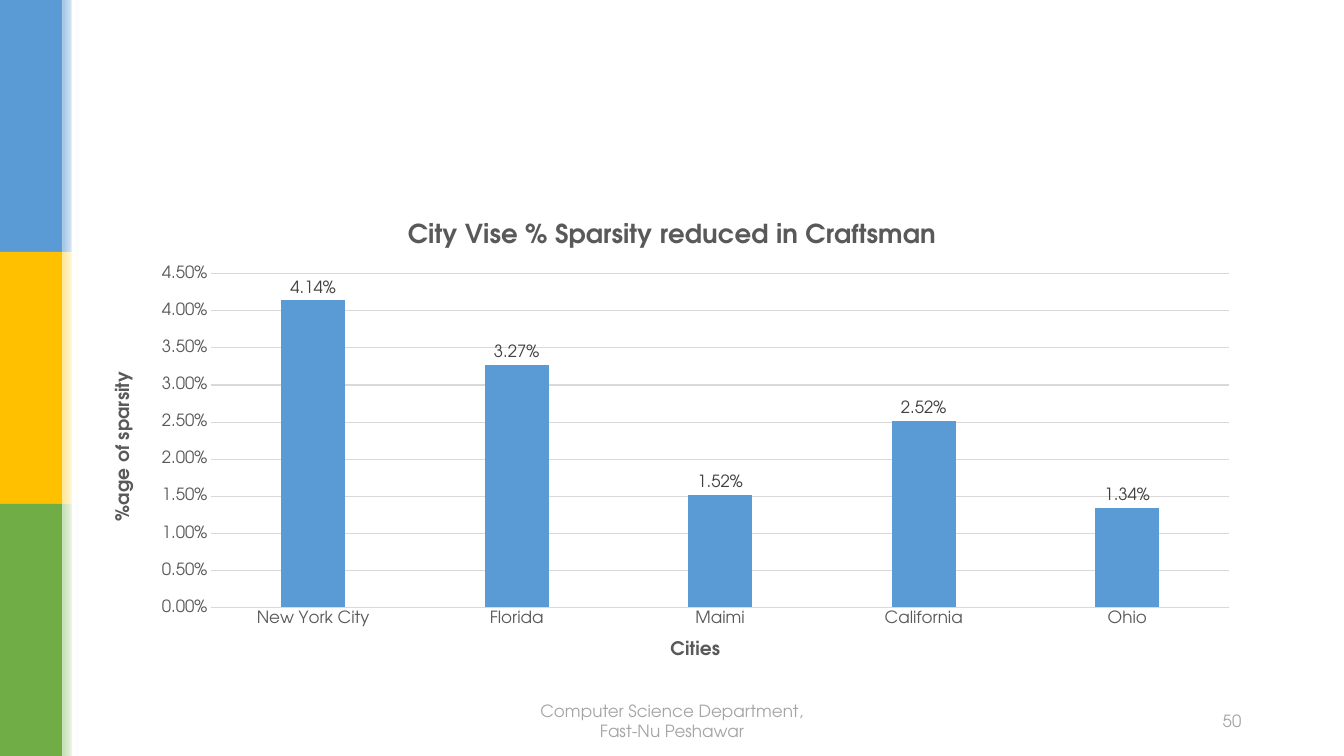
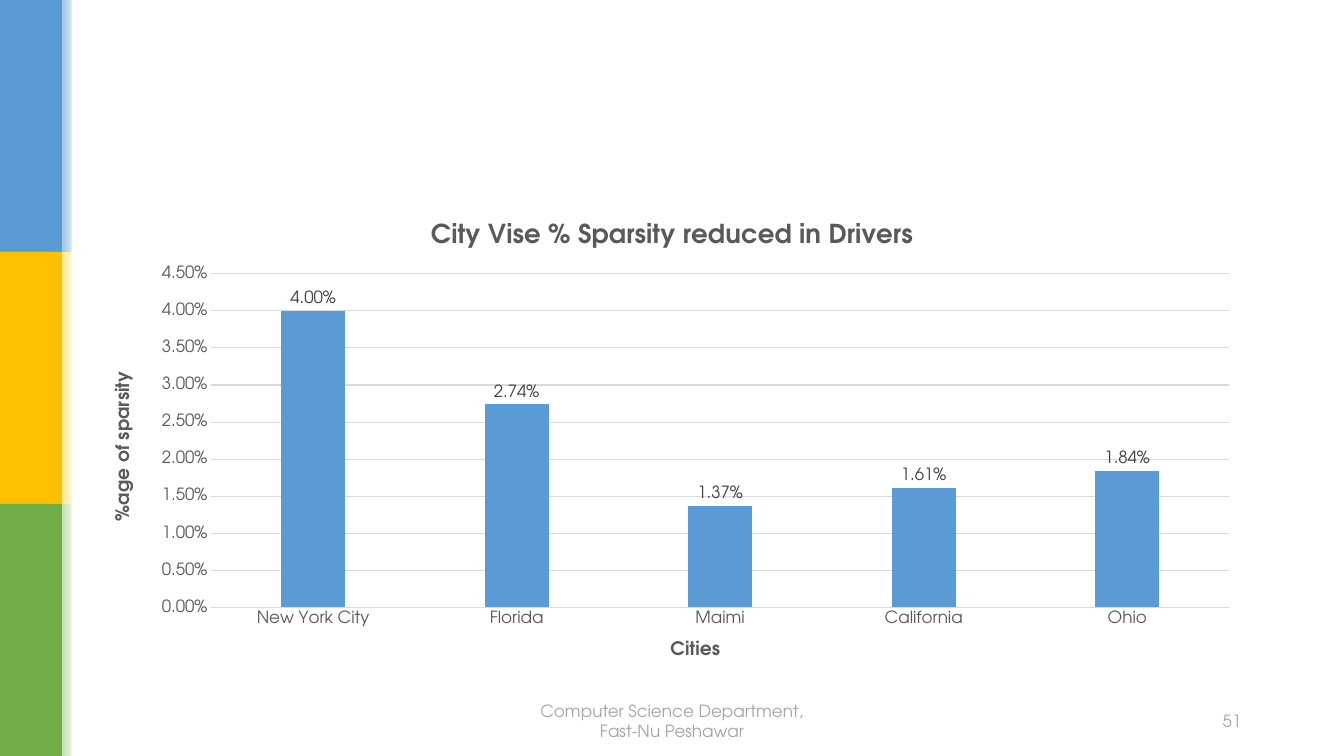
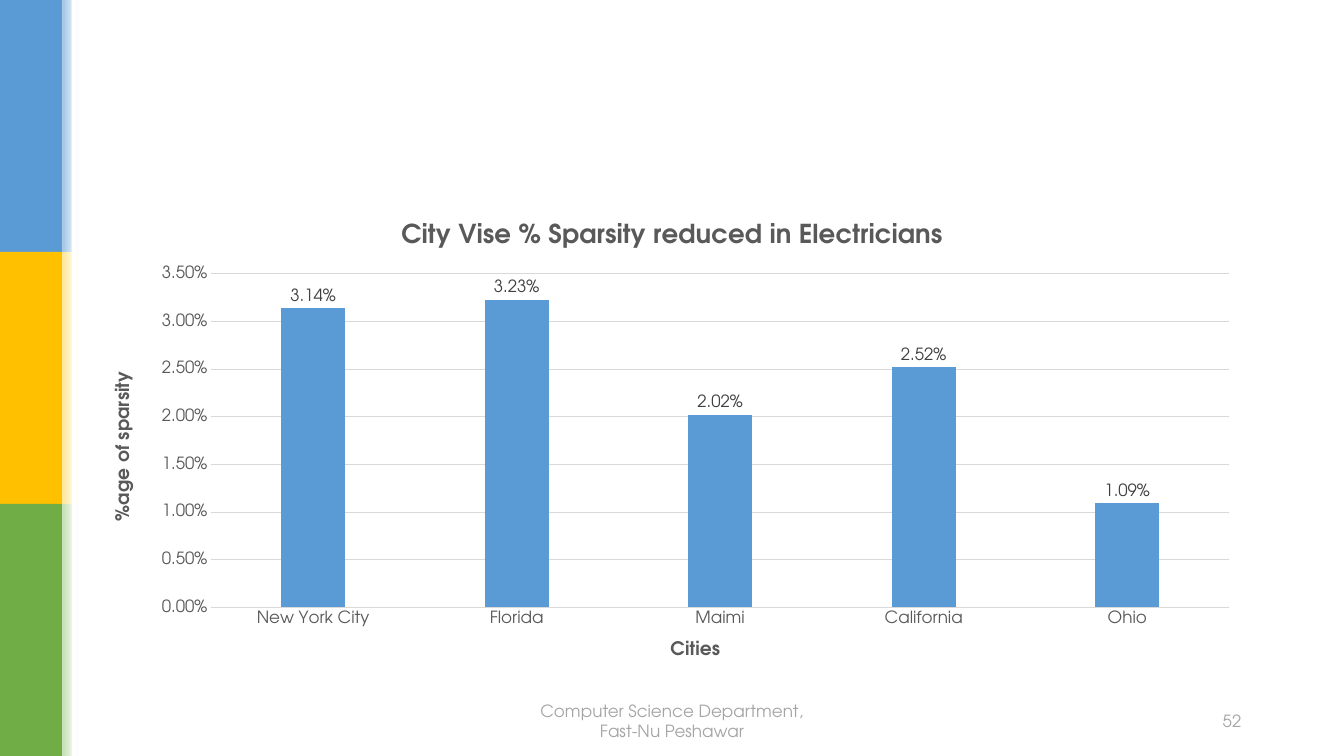
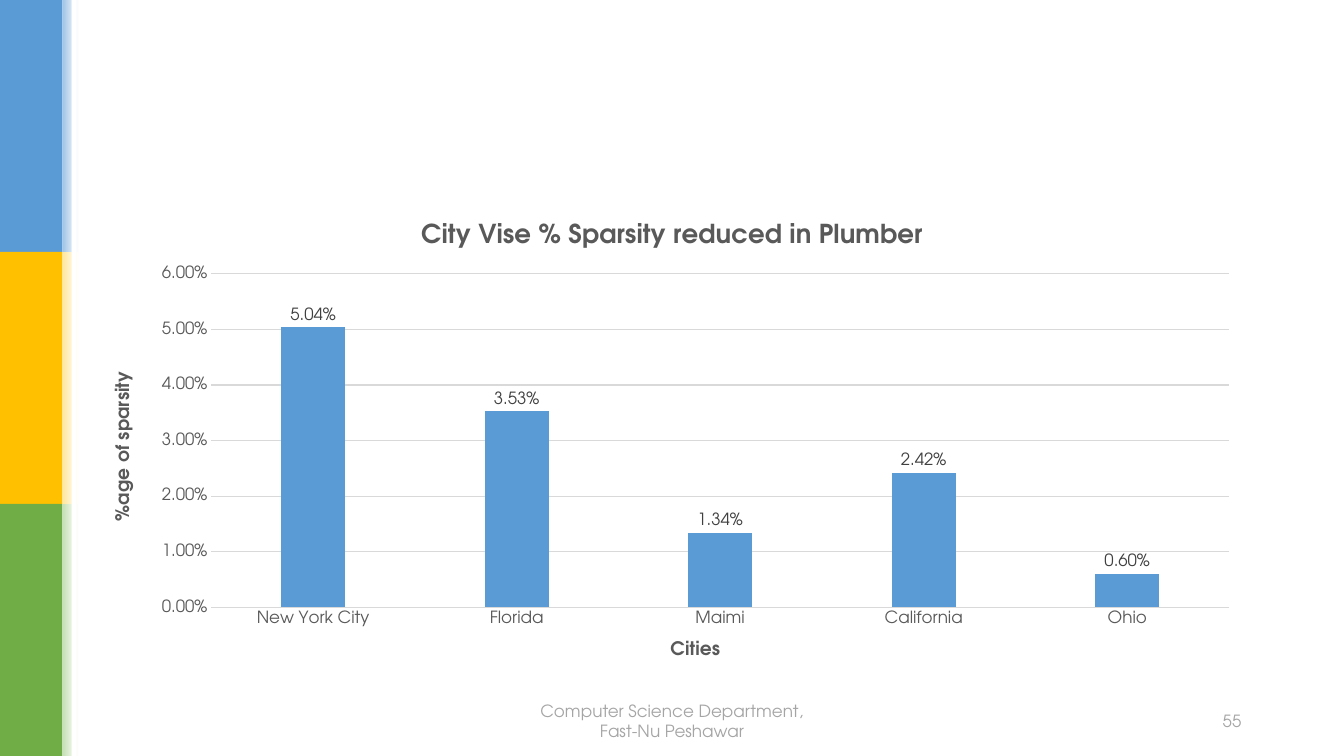
import pptx
import pptx.chart.data
import pptx.dml.color
import pptx.enum.chart
import pptx.enum.shapes
import pptx.enum.text
import pptx.util

Inches, Pt = pptx.util.Inches, pptx.util.Pt
ALIGN = pptx.enum.text.PP_ALIGN

# Content
CITIES = ["New York City", "Florida", "Maimi", "California", "Ohio"]
TRADES = [  # page number, trade, share of sparsity reduced per city
    (50, "Craftsman", [0.0414, 0.0327, 0.0152, 0.0252, 0.0134]),
    (51, "Drivers", [0.04, 0.0274, 0.0137, 0.0161, 0.0184]),
    (52, "Electricians", [0.0314, 0.0323, 0.0202, 0.0252, 0.0109]),
    (55, "Plumber", [0.0504, 0.0353, 0.0134, 0.0242, 0.006]),
]
CHART_TITLE = "City Vise % Sparsity reduced in {}"
CITY_TITLE, SPARSITY_TITLE = "Cities", "%age of sparsity"
DEPARTMENT = "Computer Science Department, Fast-Nu Peshawar"

# Shared style
FONT = "TeX Gyre Adventor"
WHITE, BAR, GRID = "FFFFFF", "5B9BD5", "D9D9D9"
CHART_TEXT, LABEL_TEXT, FOOTER_TEXT = "595959", "404040", "A5A5A5"
BANDS = [("5B9BD5", "9DC3E6"), ("FFC000", "FFE699"), ("70AD47", "C5E0B4")]
PERCENT = "0.00%"
SLIDE_W, SLIDE_H = 13.33, 7.5
BAND_W, FADE_W = 0.62, 0.16
FOOTER_TOP, FOOTER_H = 6.95, 0.4


def rgb(color):
    return pptx.dml.color.RGBColor.from_string(color)


def style(font, size, color, bold=False):
    font.name, font.size, font.bold = FONT, Pt(size), bold
    font.color.rgb = rgb(color)


def add_strip(slide, left, top, width, height, color, fade_to=None):
    strip = slide.shapes.add_shape(
        pptx.enum.shapes.MSO_SHAPE.RECTANGLE,
        Inches(left), Inches(top), Inches(width), Inches(height))
    strip.shadow.inherit = False
    strip.line.fill.background()
    if fade_to:
        strip.fill.gradient()
        strip.fill.gradient_angle = 0
        for stop, stop_color in zip(strip.fill.gradient_stops, (color, fade_to)):
            stop.color.rgb = rgb(stop_color)
    else:
        strip.fill.solid()
        strip.fill.fore_color.rgb = rgb(color)


def add_bands(slide):
    height = SLIDE_H / len(BANDS)
    for row, (color, tint) in enumerate(BANDS):
        add_strip(slide, 0, row * height, BAND_W, height, color)
        add_strip(slide, BAND_W, row * height, FADE_W, height, tint, WHITE)
    add_strip(slide, 0.71, 0, 0.05, SLIDE_H, WHITE)


def add_footer(slide, text, left, width, align):
    frame = slide.shapes.add_textbox(
        Inches(left), Inches(FOOTER_TOP), Inches(width), Inches(FOOTER_H)).text_frame
    frame.word_wrap = True
    frame.vertical_anchor = pptx.enum.text.MSO_ANCHOR.MIDDLE
    line = frame.paragraphs[0]
    line.text, line.alignment = text, align
    style(line.font, 12, FOOTER_TEXT)


def set_title(title, text, size):
    line = title.text_frame.paragraphs[0]
    line.text = text
    style(line.font, size, CHART_TEXT, bold=True)


def style_axis(axis, title):
    axis.major_tick_mark = axis.minor_tick_mark = pptx.enum.chart.XL_TICK_MARK.NONE
    style(axis.tick_labels.font, 12, CHART_TEXT)
    set_title(axis.axis_title, title, 13.3)


def draw_rule(line):
    line.width = Pt(0.75)
    line.color.rgb = rgb(GRID)


def add_sparsity_chart(slide, trade, shares):
    sparsity = pptx.chart.data.CategoryChartData(number_format=PERCENT)
    sparsity.categories = CITIES
    sparsity.add_series("Series 1", shares)
    chart = slide.shapes.add_chart(
        pptx.enum.chart.XL_CHART_TYPE.COLUMN_CLUSTERED,
        Inches(0.92), Inches(2), Inches(11.5), Inches(4.76), sparsity).chart
    style(chart.font, 10, "000000")
    chart.has_legend = False
    set_title(chart.chart_title, CHART_TITLE.format(trade), 18.6)
    chart.chart_title.include_in_layout = False

    # Axes
    cities, percent = chart.category_axis, chart.value_axis
    style_axis(cities, CITY_TITLE)
    draw_rule(cities.format.line)
    style_axis(percent, SPARSITY_TITLE)
    percent.axis_title.text_frame._txBody.bodyPr.set("rot", "-5400000")
    percent.format.line.fill.background()
    percent.tick_labels.number_format = PERCENT
    percent.tick_labels.number_format_is_linked = False
    draw_rule(percent.major_gridlines.format.line)

    # Bars and their labels
    plot = chart.plots[0]
    plot.gap_width, plot.overlap, plot.vary_by_categories = 219, -27, False
    bars = plot.series[0]
    bars.format.fill.solid()
    bars.format.fill.fore_color.rgb = rgb(BAR)
    labels = bars.data_labels
    labels.show_value = True
    labels.position = pptx.enum.chart.XL_LABEL_POSITION.OUTSIDE_END
    labels.number_format, labels.number_format_is_linked = PERCENT, False
    style(labels.font, 12, LABEL_TEXT)


def main():
    deck = pptx.Presentation()
    deck.slide_width, deck.slide_height = Inches(SLIDE_W), Inches(SLIDE_H)
    for page, trade, shares in TRADES:
        slide = deck.slides.add_slide(deck.slide_layouts[6])
        add_bands(slide)
        add_sparsity_chart(slide, trade, shares)
        add_footer(slide, DEPARTMENT, 5.08, 3.17, ALIGN.CENTER)
        add_footer(slide, str(page), 8.83, 3.58, ALIGN.RIGHT)
    deck.save("out.pptx")


if __name__ == "__main__":
    main()
